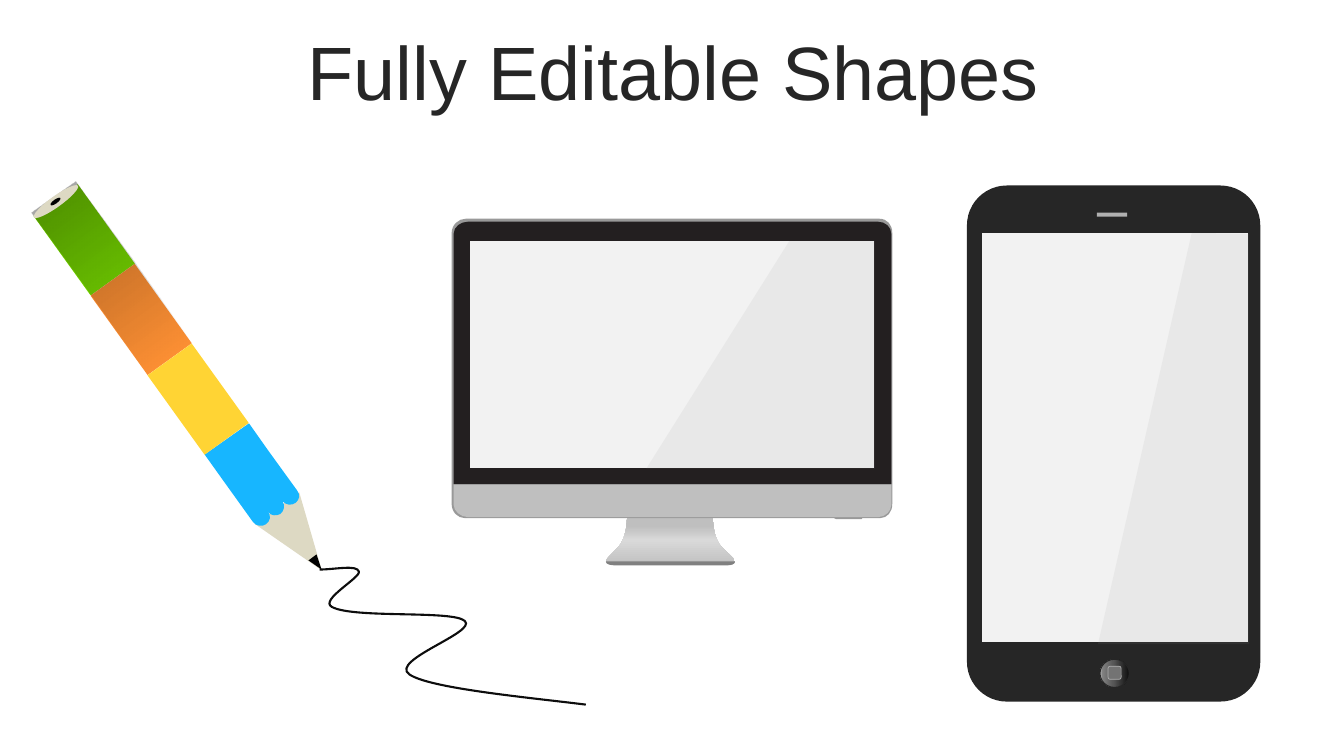
from dataclasses import dataclass
from typing import Optional, Union

from lxml import etree
from pptx import Presentation
from pptx.dml.color import RGBColor
from pptx.enum import shapes as kinds, text as txt
from pptx.oxml.ns import qn
from pptx.util import Inches, Pt

COLORS = {
    "ink": "262626", "scribble": "0D0D0D", "black": "000000",
    "rim": "999999", "bezel": "231F20", "chin": "BFBFBF", "base": "808080",
    "screen": "F2F2F2", "speaker": "B0B0B0", "button": "737373",
    "wood": "DDD9C3", "blue": "17B6FF", "yellow": "FFD434",
    "orange": "FD9034", "green": "7CE200",
    "silver": "D9D9D9", "coal": "0F0F0F", "slate": "595959",
}
PENCIL_ANGLE = 54.3


@dataclass(frozen=True)
class Stop:
    position: int
    color: str
    opacity: int = 100


@dataclass(frozen=True)
class Gradient:
    angle: float
    stops: tuple[Stop, ...]


@dataclass(frozen=True)
class Stroke:
    color: str
    points: float


Fill = Union[str, Gradient, None]


@dataclass(frozen=True)
class Outline:
    """Points "x,y" in inches; L starts straight sides, C starts cubic curves."""
    points: str
    fill: Fill = None
    opacity: int = 100
    stroke: Optional[Stroke] = None


@dataclass(frozen=True)
class Preset:
    kind: kinds.MSO_SHAPE
    box: tuple[float, float, float, float]
    fill: Fill
    rotation: float = 0
    corner: Optional[float] = None
    stroke: Optional[Stroke] = None


def add_opacity(color_element, opacity: int) -> None:
    if opacity < 100:
        etree.SubElement(color_element, qn("a:alpha"), val=str(opacity * 1000))


def paint_gradient(shape, gradient: Gradient) -> None:
    shape.fill.gradient()
    grad_fill = shape.element.spPr.find(qn("a:gradFill"))
    stop_list = grad_fill.find(qn("a:gsLst"))
    for default_stop in list(stop_list):
        stop_list.remove(default_stop)
    for stop in gradient.stops:
        entry = etree.SubElement(stop_list, qn("a:gs"), pos=str(stop.position * 1000))
        color = etree.SubElement(entry, qn("a:srgbClr"), val=COLORS[stop.color])
        add_opacity(color, stop.opacity)
    grad_fill.find(qn("a:lin")).set("ang", str(round(gradient.angle * 60000)))


def paint(shape, fill: Fill, stroke: Optional[Stroke], opacity: int = 100) -> None:
    shape.shadow.inherit = False
    if fill is None:
        shape.fill.background()
    elif isinstance(fill, Gradient):
        paint_gradient(shape, fill)
    else:
        shape.fill.solid()
        shape.fill.fore_color.rgb = RGBColor.from_string(COLORS[fill])
        solid = shape.element.spPr.find(qn("a:solidFill"))
        add_opacity(solid[0], opacity)
    if stroke is None:
        shape.line.fill.background()
    else:
        shape.line.color.rgb = RGBColor.from_string(COLORS[stroke.color])
        shape.line.width = Pt(stroke.points)


def bend(shape, modes: list[str]) -> None:
    """Turn each three sides marked C into one cubic curve."""
    sides = list(shape.element.iter(qn("a:lnTo")))
    curved = [side for side, mode in zip(sides, modes) if mode == "C"]
    for first in range(0, len(curved), 3):
        curve = etree.Element(qn("a:cubicBezTo"))
        curved[first].addprevious(curve)
        for side in curved[first:first + 3]:
            curve.append(side[0])
            side.getparent().remove(side)


def draw_outline(canvas, outline: Outline) -> None:
    points, modes, mode = [], [], "L"
    for token in outline.points.split():
        if token in ("L", "C"):
            mode = token
        else:
            x, y = token.split(",")
            points.append((Inches(float(x)), Inches(float(y))))
            modes.append(mode)
    builder = canvas.build_freeform(*points[0], scale=1.0)
    builder.add_line_segments(points[1:], close=outline.fill is not None)
    shape = builder.convert_to_shape()
    bend(shape, modes[1:])
    paint(shape, outline.fill, outline.stroke, outline.opacity)


def draw_preset(canvas, preset: Preset) -> None:
    shape = canvas.add_shape(preset.kind, *map(Inches, preset.box))
    shape.rotation = preset.rotation
    if preset.corner is not None:
        shape.adjustments[0] = preset.corner
    paint(shape, preset.fill, preset.stroke)


STAND_METAL = Gradient(270, (Stop(0, "chin"), Stop(53, "silver"), Stop(83, "chin"), Stop(100, "chin")))
BUTTON_METAL = Gradient(180, (Stop(0, "coal"), Stop(56, "slate"), Stop(91, "base"), Stop(100, "chin")))
PENCIL_SHADE = Gradient(PENCIL_ANGLE, (Stop(0, "black", 39), Stop(52, "black", 0), Stop(100, "black", 0)))
KIND = kinds.MSO_SHAPE

MONITOR = [
    Outline("7.16,5.43 C 7.07,5.34 7.07,5.14 7.07,5.14 L 6.22,5.14 C 6.22,5.14 6.22,5.34 6.13,5.43 "
            "6.04,5.53 5.9,5.61 6.15,5.61 L 7.15,5.61 C 7.4,5.61 7.26,5.53 7.16,5.43", STAND_METAL),
    Outline("8.72,2.17 4.62,2.17 C 4.55,2.17 4.48,2.23 4.48,2.31 L 4.48,5 C 4.48,5.08 4.54,5.14 4.61,5.14 "
            "L 8.73,5.14 C 8.8,5.14 8.85,5.08 8.85,5 L 8.85,2.31 C 8.85,2.23 8.8,2.17 8.72,2.17", "rim"),
    Outline("8.27,5.13 C 8.27,5.13 8.27,5.15 8.29,5.15 L 8.53,5.15 C 8.53,5.15 8.56,5.16 8.56,5.13", "rim"),
    Outline("8.71,2.2 4.64,2.2 C 4.57,2.2 4.5,2.25 4.5,2.32 L 4.5,4.8 8.84,4.8 8.84,2.32 "
            "C 8.84,2.25 8.78,2.2 8.71,2.2", "bezel"),
    Outline("6.01,5.57 C 6.01,5.6 6.05,5.61 6.15,5.61 L 7.16,5.61 C 7.26,5.61 7.29,5.6 7.29,5.57", "base"),
    Outline("4.5,5.01 C 4.5,5.07 4.57,5.13 4.64,5.13 L 8.71,5.13 C 8.78,5.13 8.84,5.07 8.84,5.01 "
            "L 8.84,4.81 4.5,4.81", "chin"),
    Outline("4.66,2.39 8.67,2.39 8.67,4.64 4.66,4.64", "screen"),
    Outline("7.83,2.39 8.68,2.39 8.68,4.65 6.41,4.65", "rim", opacity=10),
]

PHONE = [
    Preset(KIND.ROUNDED_RECTANGLE, (9.59, 1.84, 2.91, 5.12), "ink", corner=0.136),
    Preset(KIND.RECTANGLE, (10.88, 2.11, 0.3, 0.04), "speaker"),
    Preset(KIND.OVAL, (10.91, 6.54, 0.29, 0.28), BUTTON_METAL, stroke=Stroke("ink", 0)),
    Preset(KIND.ROUNDED_RECTANGLE, (10.99, 6.61, 0.13, 0.13), "button", stroke=Stroke("speaker", 0.5)),
    Outline("9.74,2.31 12.38,2.31 12.38,6.37 9.74,6.37", "screen"),
    Outline("11.82,2.31 12.39,2.32 12.39,6.39 10.89,6.39", "rim", opacity=10),
]

PENCIL = [
    Preset(KIND.ISOSCELES_TRIANGLE, (2.7, 4.97, 0.54, 0.76), "wood", PENCIL_ANGLE + 90),
    Outline("2.66,4.47 2.47,4.2 2.03,4.51 2.23,4.79 2.51,5.18 C 2.54,5.22 2.6,5.23 2.64,5.2 "
            "2.68,5.17 2.69,5.12 2.66,5.08 2.69,5.12 2.74,5.12 2.78,5.1 2.82,5.07 2.83,5.01 2.8,4.97 "
            "2.83,5.01 2.89,5.02 2.93,4.99 2.97,4.96 2.98,4.91 2.95,4.87", "blue"),
    *(Preset(KIND.RECTANGLE, (0.35 + 0.565 * band, 2.11 + 0.79 * band, 0.97, 0.54), color, PENCIL_ANGLE)
      for band, color in enumerate(("green", "orange", "yellow"))),
    Outline("3.14,5.5 3.06,5.56 3.19,5.65", "black"),
    Outline("1.32,2.58 0.75,1.8 0.31,2.11 0.88,2.9 1.44,3.69 2.01,4.47 2.2,4.75 2.49,5.14 "
            "C 2.52,5.18 2.57,5.19 2.61,5.16 2.65,5.13 2.66,5.08 2.63,5.04 2.66,5.08 2.72,5.09 2.76,5.06 "
            "2.8,5.03 2.81,4.97 2.78,4.93 2.81,4.97 2.86,4.98 2.9,4.95 2.94,4.92 2.95,4.87 2.92,4.83 "
            "L 2.64,4.43 2.44,4.16 1.88,3.37", PENCIL_SHADE),
    Preset(KIND.OVAL, (0.5, 1.73, 0.11, 0.54), "wood", PENCIL_ANGLE),
    Preset(KIND.OVAL, (0.53, 1.94, 0.04, 0.12), "black", PENCIL_ANGLE),
    Outline("3.17,5.65 C 3.32,5.65 3.54,5.6 3.56,5.67 3.58,5.73 3.17,5.95 3.29,6.02 "
            "3.5,6.14 4.49,6.05 4.61,6.16 4.74,6.27 3.86,6.55 4.06,6.69 4.26,6.83 5.25,6.92 5.81,6.99",
            stroke=Stroke("scribble", 1.5)),
]


def add_heading(slide, words: str) -> None:
    heading = slide.shapes.add_textbox(*map(Inches, (0.35, 0.36, 12.66, 0.79))).text_frame
    heading.word_wrap = True
    heading.vertical_anchor = txt.MSO_ANCHOR.MIDDLE
    line = heading.paragraphs[0]
    line.alignment = txt.PP_ALIGN.CENTER
    line.line_spacing = 0.9
    run = line.add_run()
    run.text = words
    run.font.name = "Arial"
    run.font.size = Pt(54)
    run.font.color.rgb = RGBColor.from_string(COLORS["ink"])


def main() -> None:
    deck = Presentation()
    deck.slide_width, deck.slide_height = Inches(13.33), Inches(7.5)
    slide = deck.slides.add_slide(deck.slide_layouts[6])
    add_heading(slide, "Fully Editable Shapes")
    for drawing in (MONITOR, PHONE, PENCIL):
        canvas = slide.shapes.add_group_shape().shapes
        for part in drawing:
            if isinstance(part, Outline):
                draw_outline(canvas, part)
            else:
                draw_preset(canvas, part)
    deck.save("out.pptx")


if __name__ == "__main__":
    main()
